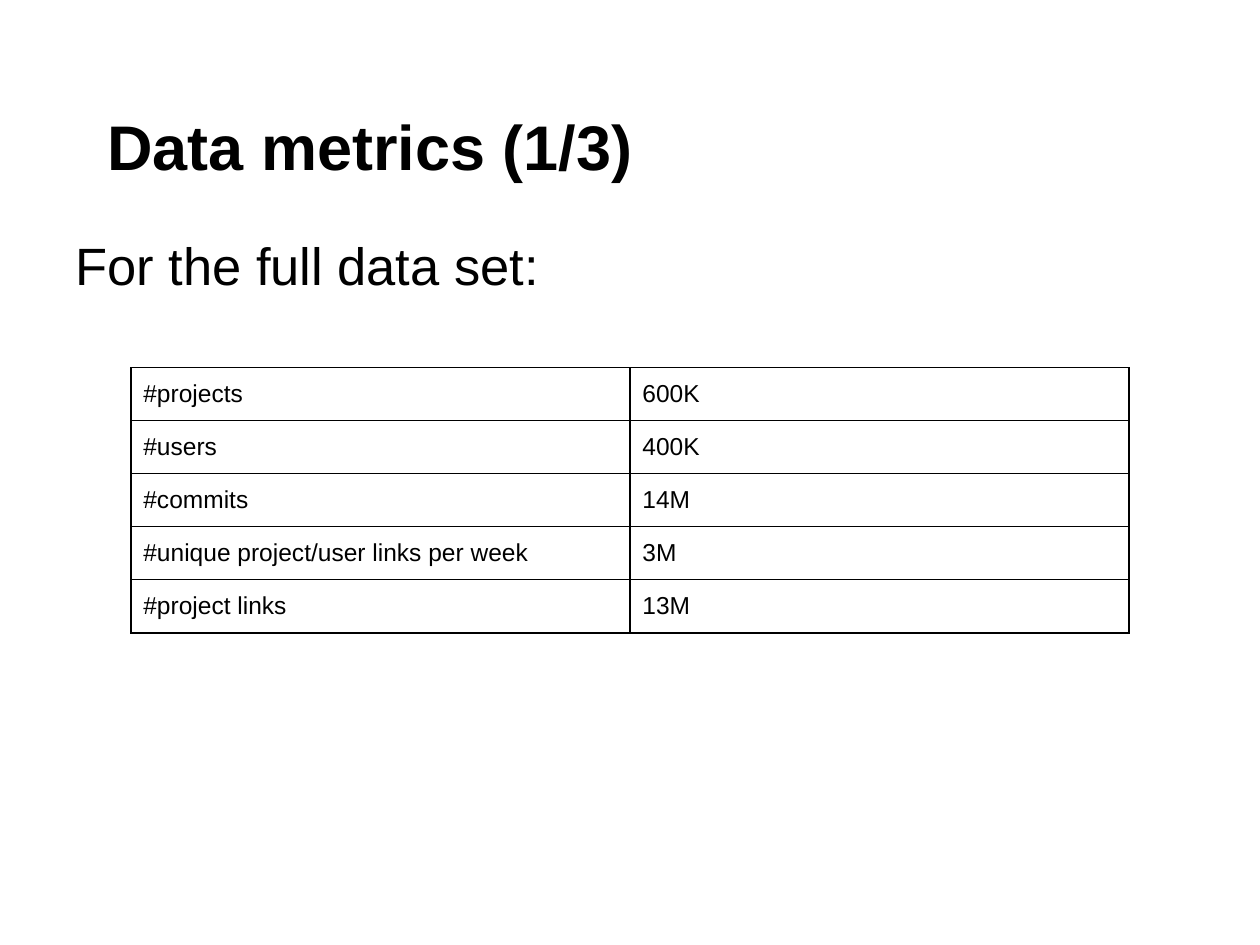
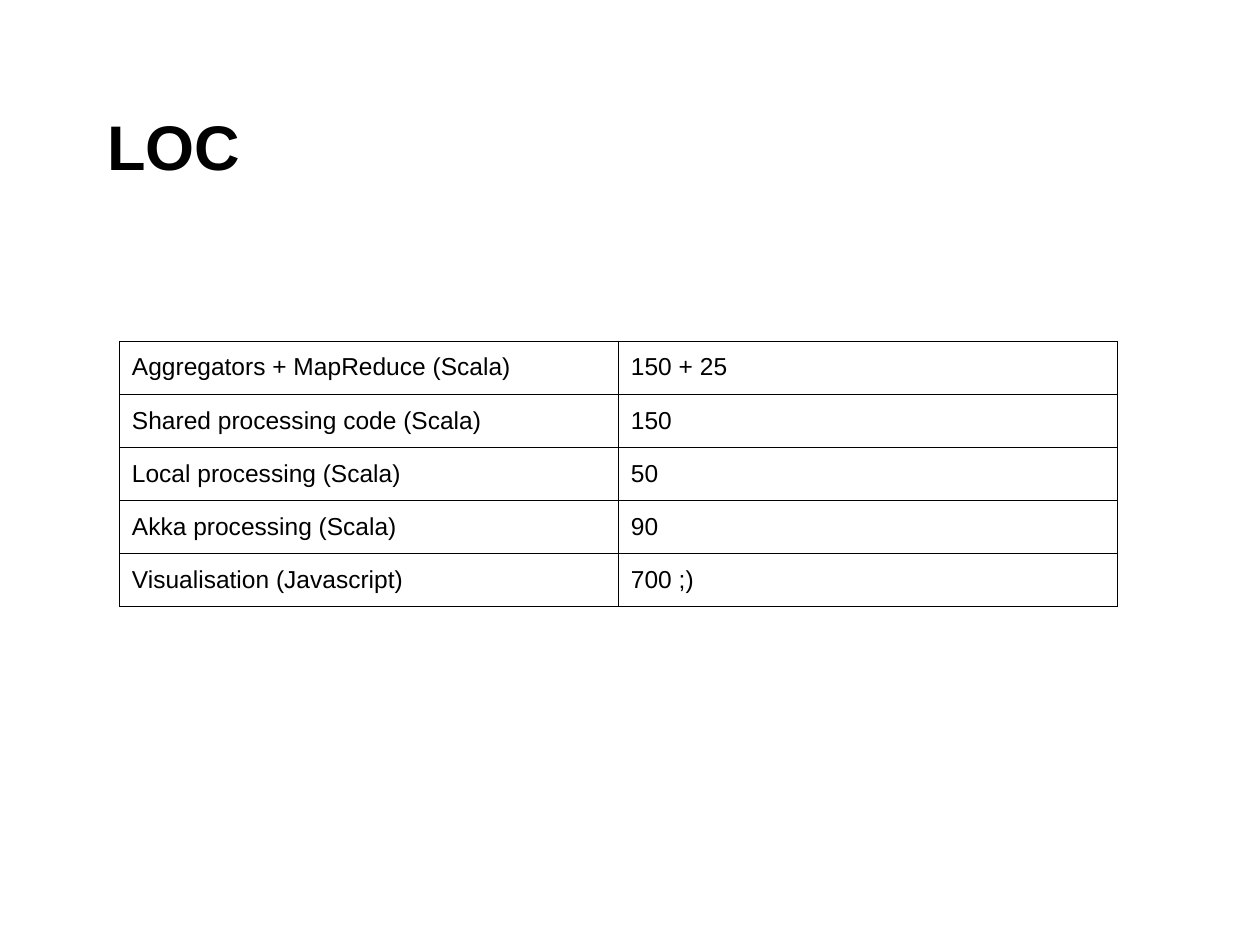
from dataclasses import dataclass
from typing import Optional

from lxml.etree import SubElement
from pptx import Presentation
from pptx.dml.color import RGBColor
from pptx.enum.text import MSO_ANCHOR, MSO_AUTO_SIZE, PP_ALIGN
from pptx.oxml.ns import qn
from pptx.util import Cm, Pt


@dataclass(frozen=True)
class Theme:
    ink: str = "000000"
    paper: str = "FFFFFF"
    face: str = "Arial"
    title: int = 36
    body: int = 30
    cell: int = 14
    rule: float = 0.75
    inset: float = 0.25


@dataclass(frozen=True)
class Grid:
    left: float
    top: float
    rows: tuple[tuple[str, str], ...]
    col_width: float = 10.06
    row_height: float = 1.07


@dataclass(frozen=True)
class Page:
    title: str
    grid: Grid
    lead: Optional[str] = None


THEME = Theme()
LEFT, WIDTH = 1.27, 22.86

PAGES = (
    Page(
        "Data metrics (1/3)",
        Grid(2.64, 7.41, (
            ("#projects", "600K"),
            ("#users", "400K"),
            ("#commits", "14M"),
            ("#unique project/user links per week", "3M"),
            ("#project links", "13M"),
        )),
        "For the full data set:",
    ),
    Page(
        "LOC",
        Grid(2.41, 6.88, (
            ("Aggregators + MapReduce (Scala)", "150 + 25"),
            ("Shared processing code (Scala)", "150"),
            ("Local processing (Scala)", "50"),
            ("Akka processing (Scala)", "90"),
            ("Visualisation (Javascript)", "700 ;)"),
        )),
    ),
)


def style(para, size: int, bold: bool = False) -> None:
    para.alignment = PP_ALIGN.LEFT
    font = para.font
    font.name = THEME.face
    font.size = Pt(size)
    font.bold = bold
    font.color.rgb = RGBColor.from_string(THEME.ink)


def pad(box) -> None:
    box.margin_left = box.margin_right = Cm(THEME.inset)
    box.margin_top = box.margin_bottom = Cm(THEME.inset)


def fill_frame(shape, text: str, size: int, anchor: MSO_ANCHOR, bold: bool = False):
    frame = shape.text_frame
    frame.text = text
    frame.word_wrap = True
    frame.auto_size = MSO_AUTO_SIZE.NONE
    frame.vertical_anchor = anchor
    pad(frame)
    para = frame.paragraphs[0]
    style(para, size, bold)
    return para


def add_title(slide, text: str) -> None:
    shape = slide.shapes.title
    shape.left, shape.top = Cm(LEFT), Cm(0.76)
    shape.width, shape.height = Cm(WIDTH), Cm(3.18)
    para = fill_frame(shape, text, THEME.title, MSO_ANCHOR.BOTTOM, True)
    para._p.get_or_add_pPr().set("indent", str(Cm(0.64)))


def add_lead(slide, text: str) -> None:
    shape = slide.shapes.add_textbox(Cm(LEFT), Cm(4.45), Cm(WIDTH), Cm(13.8))
    para = fill_frame(shape, text, THEME.body, MSO_ANCHOR.TOP)
    para.space_before = Pt(6)


def add_rules(cell) -> None:
    props = cell._tc.get_or_add_tcPr()
    for side in ("lnL", "lnR", "lnT", "lnB"):
        line = SubElement(props, qn(f"a:{side}"), w=str(Pt(THEME.rule)))
        fill = SubElement(line, qn("a:solidFill"))
        SubElement(fill, qn("a:srgbClr"), val=THEME.ink)


def add_grid(slide, grid: Grid) -> None:
    count = len(grid.rows)
    frame = slide.shapes.add_table(
        count, 2, Cm(grid.left), Cm(grid.top),
        Cm(2 * grid.col_width), Cm(count * grid.row_height),
    )
    table = frame.table
    table.first_row = table.horz_banding = False
    for row, texts in enumerate(grid.rows):
        for col, text in enumerate(texts):
            cell = table.cell(row, col)
            cell.text = text
            pad(cell)
            style(cell.text_frame.paragraphs[0], THEME.cell)
            add_rules(cell)
            cell.fill.background()


def add_page(deck, page: Page) -> None:
    slide = deck.slides.add_slide(deck.slide_layouts[5])
    back = slide.background.fill
    back.solid()
    back.fore_color.rgb = RGBColor.from_string(THEME.paper)
    add_title(slide, page.title)
    if page.lead:
        add_lead(slide, page.lead)
    add_grid(slide, page.grid)


def main() -> None:
    deck = Presentation()
    deck.slide_width, deck.slide_height = Cm(25.4), Cm(19.05)
    for page in PAGES:
        add_page(deck, page)
    deck.save("out.pptx")


if __name__ == "__main__":
    main()
